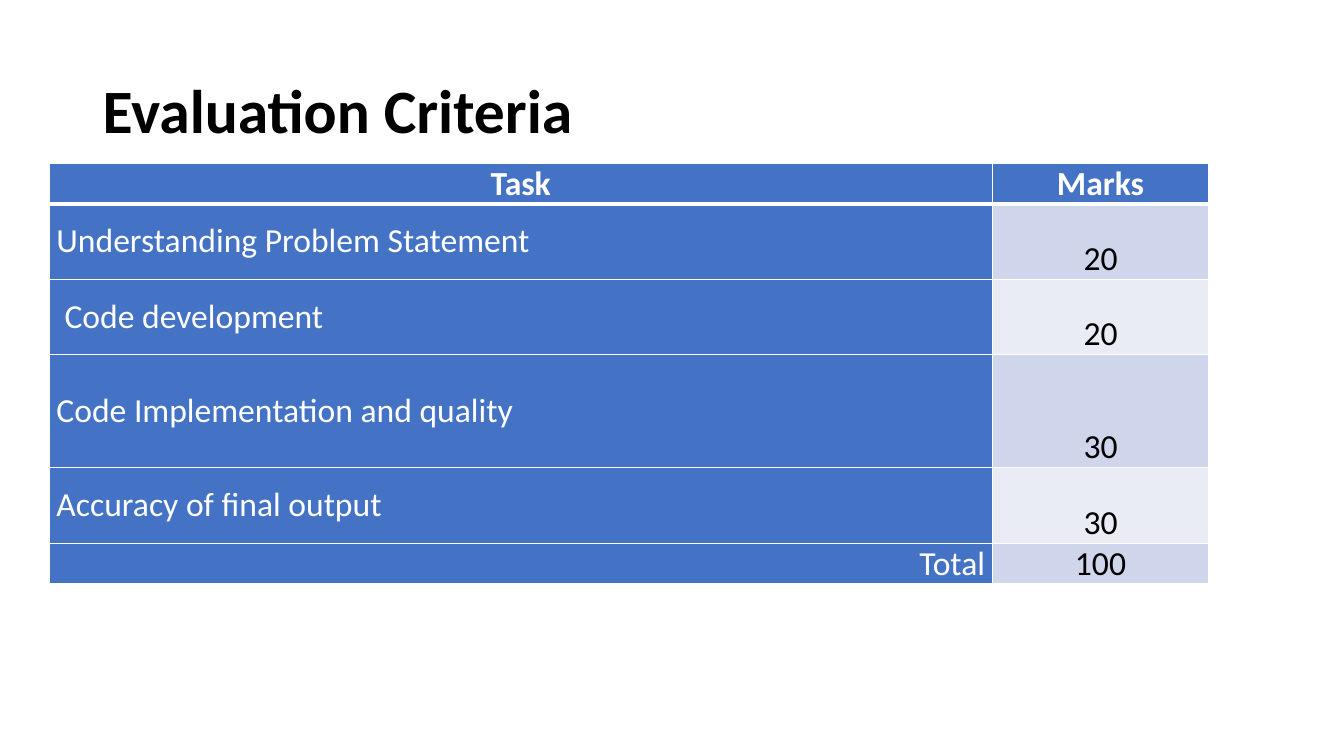
from dataclasses import dataclass
from lxml.etree import SubElement
from pptx import Presentation
from pptx.dml.color import RGBColor as RGB
from pptx.enum.text import MSO_ANCHOR as Anchor, PP_ALIGN as Align
from pptx.oxml.ns import qn
from pptx.util import Inches, Pt


@dataclass(frozen=True)
class Theme:
    font: str = "Calibri"
    title: int = 44
    body: int = 24
    black: str = "000000"
    white: str = "FFFFFF"
    blue: str = "4472C4"
    bands: tuple = ("CFD5EA", "E9EBF5")


THEME = Theme()
HEAD = ("Task", "Marks")
TASKS = (
    ("Understanding Problem Statement", "20"),
    ("Code development", "20"),
    ("Code Implementation and quality", "30"),
    ("Accuracy of final output", "30"),
)
TOTAL = ("Total", "100")
WIDTHS = (9.35, 2.15)
HEIGHTS = (0.37, 0.75, 0.75, 1.12, 0.75, 0.38)


def set_text(frame, text, size, color, bold=False, align=Align.LEFT):
    para = frame.paragraphs[0]
    para.text = text
    para.alignment = align
    font = para.runs[0].font
    font.name, font.size, font.bold = THEME.font, Pt(size), bold
    font.color.rgb = RGB.from_string(color)
    return para


def add_title(slide, text):
    box = slide.shapes.add_textbox(Inches(0.92), Inches(0.4), Inches(11.5), Inches(1.45))
    frame = box.text_frame
    frame.word_wrap = True
    frame.vertical_anchor = Anchor.MIDDLE
    set_text(frame, text, THEME.title, THEME.black, bold=True).line_spacing = 0.9


def set_edges(cell, top, bottom):
    """Draw the four cell borders, with widths in points."""
    props = cell._tc.get_or_add_tcPr()
    edges = (("lnL", 1), ("lnR", 1), ("lnT", top), ("lnB", bottom))
    for spot, (tag, width) in enumerate(edges):
        line = SubElement(props, qn(f"a:{tag}"), w=str(Pt(width)))
        fill = SubElement(line, qn("a:solidFill"))
        SubElement(fill, qn("a:srgbClr"), val=THEME.white)
        props.insert(spot, line)


def set_cell(cell, text, fill, color, align, anchor, bold=False):
    cell.fill.solid()
    cell.fill.fore_color.rgb = RGB.from_string(fill)
    cell.margin_left = cell.margin_right = Inches(0.07)
    cell.margin_top = cell.margin_bottom = 0
    cell.vertical_anchor = anchor
    set_text(cell.text_frame, text, THEME.body, color, bold, align)


def add_marks(slide):
    rows = (HEAD, *TASKS, TOTAL)
    last = len(rows) - 1
    table = slide.shapes.add_table(
        len(rows), len(WIDTHS), Inches(0.49), Inches(1.62),
        Inches(sum(WIDTHS)), Inches(sum(HEIGHTS))).table
    for col, width in zip(table.columns, WIDTHS):
        col.width = Inches(width)
    for row, height in zip(table.rows, HEIGHTS):
        row.height = Inches(height)

    for num, (task, mark) in enumerate(rows):
        left, right = table.cell(num, 0), table.cell(num, 1)
        if num == 0:
            # Header row
            for cell, text in ((left, task), (right, mark)):
                set_cell(cell, text, THEME.blue, THEME.white,
                         Align.CENTER, Anchor.MIDDLE, bold=True)
        else:
            # Task and total rows, with banded marks
            align = Align.RIGHT if num == last else Align.LEFT
            anchor = Anchor.BOTTOM if num == last else Anchor.MIDDLE
            set_cell(left, task, THEME.blue, THEME.white, align, anchor)
            set_cell(right, mark, THEME.bands[(num - 1) % 2], THEME.black,
                     Align.CENTER, Anchor.BOTTOM)
        for cell in (left, right):
            set_edges(cell, 3 if num == 1 else 1, 3 if num == 0 else 1)

    # The second task sits slightly further in
    table.cell(2, 0).margin_left = Inches(0.15)


def main():
    deck = Presentation()
    deck.slide_width, deck.slide_height = Inches(13.33), Inches(7.5)
    slide = deck.slides.add_slide(deck.slide_layouts[6])
    add_title(slide, "Evaluation Criteria")
    add_marks(slide)
    deck.save("out.pptx")


if __name__ == "__main__":
    main()
